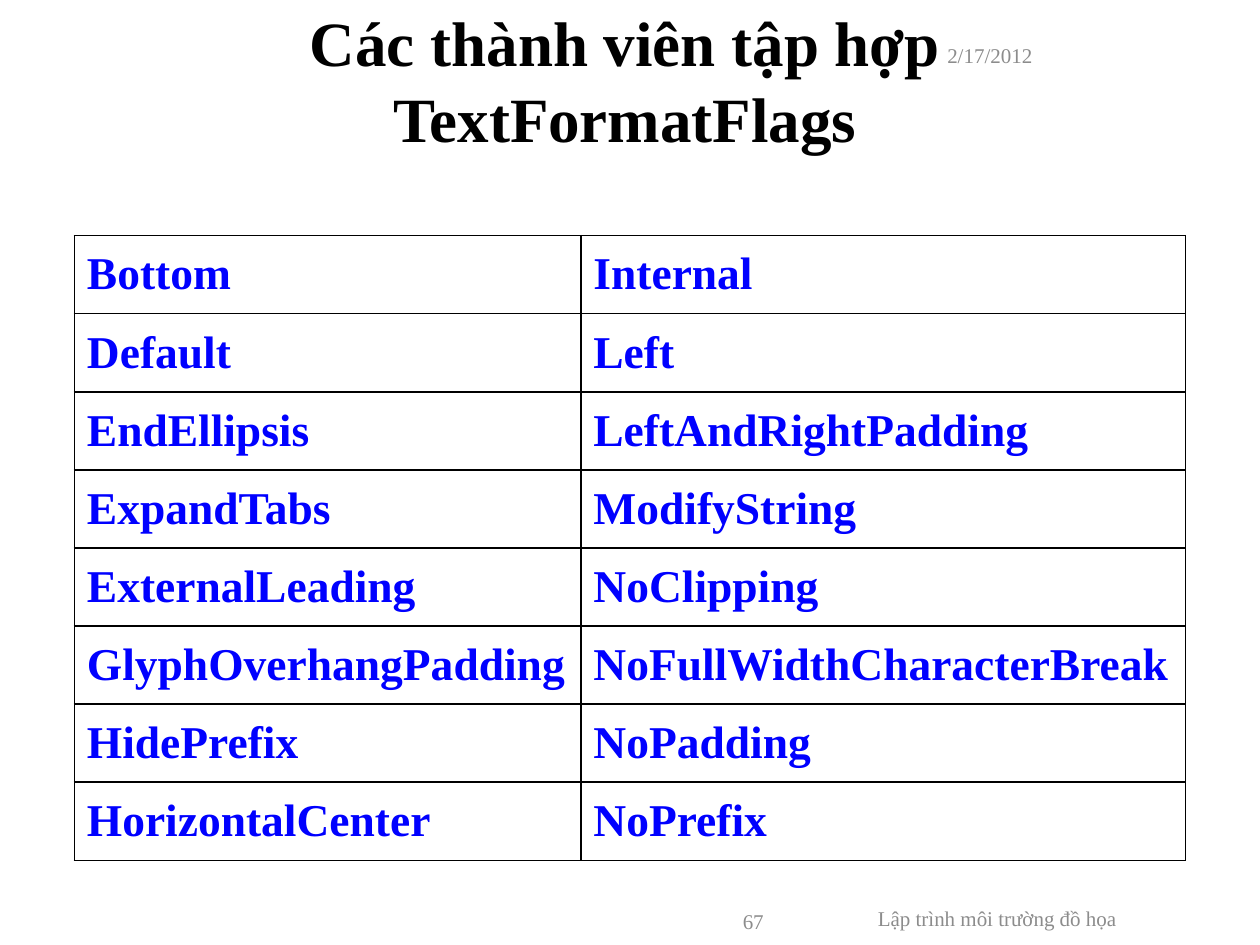
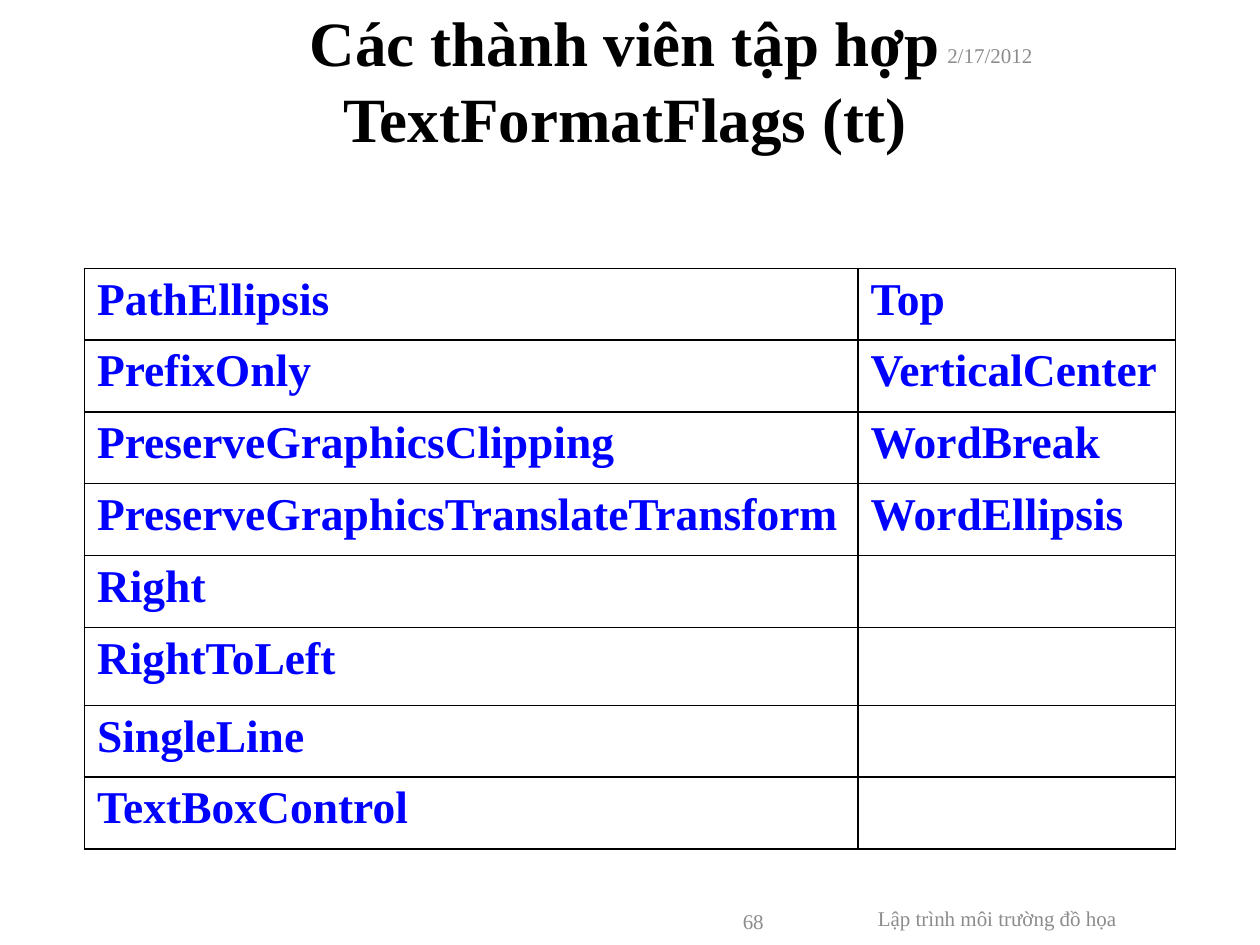
from dataclasses import dataclass

from lxml import etree
from pptx import Presentation, util as u
from pptx.dml.color import RGBColor
from pptx.enum import text
from pptx.oxml import ns


@dataclass(frozen=True)
class Theme:
    font: str = "Times New Roman"
    ink: str = "000000"
    flag: str = "0000FF"
    gray: str = "8C8C8C"
    paper: str = "FFFFFF"
    head: int = 36
    body: int = 26
    foot: int = 12
    rule: float = 1


look = Theme()
side = text.PP_ALIGN
mid, top = text.MSO_ANCHOR.MIDDLE, text.MSO_ANCHOR.TOP


def write(frame, words, size=look.foot, color=look.gray, bold=False, align=side.LEFT):
    frame.word_wrap = True
    para = frame.paragraphs[0]
    para.alignment = align
    run = para.add_run()
    run.text = words
    run.font.name = look.font
    run.font.size = u.Pt(size)
    run.font.bold = bold
    run.font.color.rgb = RGBColor.from_string(color)


def frame_cell(cell):
    """Clear the fill and rule all four sides of a table cell."""
    cell.fill.background()
    props = cell._tc.get_or_add_tcPr()
    for spot, edge in enumerate(("a:lnL", "a:lnR", "a:lnT", "a:lnB")):
        line = etree.Element(ns.qn(edge), w=str(u.Pt(look.rule)))
        fill = etree.SubElement(line, ns.qn("a:solidFill"))
        etree.SubElement(fill, ns.qn("a:srgbClr"), val=look.ink)
        props.insert(spot, line)


head = dict(size=look.head, color=look.ink, bold=True, align=side.CENTER)
body = dict(size=look.body, color=look.flag, bold=True)

pages = [
    dict(
        title="Các thành viên tập hợp TextFormatFlags",
        number="67", left=0.59, top=1.87, anchor=mid,
        widths=[4.02, 4.8], heights=[0.62] * 8,
        flags=[
            ("Bottom", "Internal"),
            ("Default", "Left"),
            ("EndEllipsis", "LeftAndRightPadding"),
            ("ExpandTabs", "ModifyString"),
            ("ExternalLeading", "NoClipping"),
            ("GlyphOverhangPadding", "NoFullWidthCharacterBreak"),
            ("HidePrefix", "NoPadding"),
            ("HorizontalCenter", "NoPrefix"),
        ],
    ),
    dict(
        title="Các thành viên tập hợp TextFormatFlags (tt)",
        number="68", left=0.67, top=2.13, anchor=top,
        widths=[6.14, 2.52], heights=[0.57] * 5 + [0.62] + [0.57] * 2,
        flags=[
            ("PathEllipsis", "Top"),
            ("PrefixOnly", "VerticalCenter"),
            ("PreserveGraphicsClipping", "WordBreak"),
            ("PreserveGraphicsTranslateTransform", "WordEllipsis"),
            ("Right", ""),
            ("RightToLeft", ""),
            ("SingleLine", ""),
            ("TextBoxControl", ""),
        ],
    ),
]

deck = Presentation()
deck.slide_width, deck.slide_height = u.Inches(10), u.Inches(7.5)

for page in pages:
    slide = deck.slides.add_slide(deck.slide_layouts[6])
    slide.background.fill.solid()
    slide.background.fill.fore_color.rgb = RGBColor.from_string(look.paper)

    labels = [
        (page["title"], (0.92, 0.32, 8.08, 0.62), head),
        ("2/17/2012", (7.42, 0.3, 2.33, 0.27), {}),
        ("Lập trình môi trường đồ họa", (6.33, 7.14, 3.17, 0.3), dict(align=side.CENTER)),
        (page["number"], (3.83, 7.17, 2.33, 0.28), dict(align=side.RIGHT)),
    ]
    for words, place, form in labels:
        box = slide.shapes.add_textbox(*map(u.Inches, place))
        box.text_frame.vertical_anchor = mid
        write(box.text_frame, words, **form)

    widths, heights = page["widths"], page["heights"]
    place = page["left"], page["top"], sum(widths), sum(heights)
    grid = slide.shapes.add_table(
        len(heights), len(widths), *map(u.Inches, place)).table
    grid.first_row = grid.horz_banding = False
    for col, width in zip(grid.columns, widths):
        col.width = u.Inches(width)
    for row, height, names in zip(grid.rows, heights, page["flags"]):
        row.height = u.Inches(height)
        for cell, name in zip(row.cells, names):
            frame_cell(cell)
            cell.vertical_anchor = page["anchor"]
            if name:
                write(cell.text_frame, name, **body)

deck.save("out.pptx")
